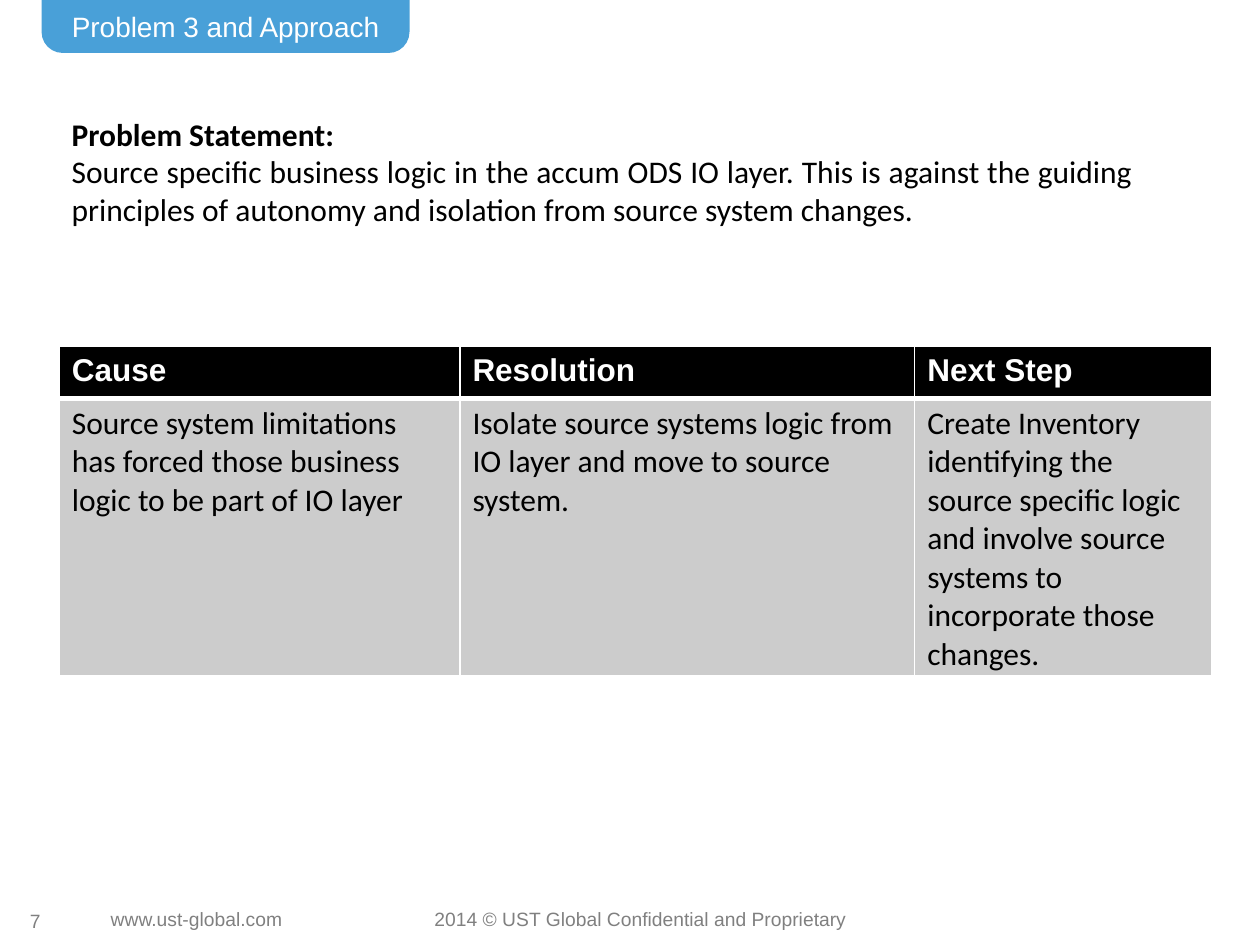
import pptx
import pptx.util
import pptx.dml.color
import pptx.enum.shapes
import pptx.enum.text
import pptx.oxml
import pptx.oxml.ns

ALIGN = pptx.enum.text.PP_ALIGN
ANCHOR = pptx.enum.text.MSO_ANCHOR
THEME = {
    "blue": "49A0D8", "white": "FFFFFF", "black": "000000",
    "grey": "808080", "cell": "CCCCCC",
    "sans": "Arial", "body": "Calibri",
    "small": 11, "title": 16, "large": 18,
}

presentation = pptx.Presentation()
presentation.slide_width = pptx.util.Inches(10)
presentation.slide_height = pptx.util.Inches(7.5)
column = presentation.slide_width / 100
row = presentation.slide_height / 100
slide = presentation.slides.add_slide(presentation.slide_layouts[6])


def color(name):
    return pptx.dml.color.RGBColor.from_string(THEME[name])


def write(frame, texts, font, size, ink, bold=False, align=ALIGN.LEFT):
    for index, text in enumerate(texts):
        paragraph = frame.add_paragraph() if index else frame.paragraphs[0]
        paragraph.text = text
        paragraph.alignment = align
        values = {"name": THEME[font], "size": pptx.util.Pt(THEME[size]), "bold": bold}
        for name, value in values.items():
            setattr(paragraph.font, name, value)
        paragraph.font.color.rgb = color(ink)


tab_area = (3.3, 0, 29.2, 5.6)
left, top, width, height = tab_area
tab = slide.shapes.add_shape(
    pptx.enum.shapes.MSO_SHAPE.ROUND_2_SAME_RECTANGLE,
    round(left * column), round(top * row), round(width * column), round(height * row))
tab.rotation = 180
tab.adjustments[0] = 0.396
tab.adjustments[1] = 0
tab.shadow.inherit = False
tab.fill.solid()
tab.fill.fore_color.rgb = color("blue")
tab.line.fill.background()

footer = ("sans", "small", "grey", False)
statement = [
    "Problem Statement: ",
    "Source specific business logic in the accum ODS IO layer. This is against the guiding "
    "principles of autonomy and isolation from source system changes.",
]
text_boxes = [
    ((7.8, 95.33, 15.8, 3.87), ["www.ust-global.com"], footer, ALIGN.LEFT, {"word_wrap": False}),
    ((33.5, 95.33, 35, 3.87), ["2014 © UST Global Confidential and Proprietary"], footer,
     ALIGN.LEFT, {"word_wrap": False}),
    ((0.9, 96.13, 3.8, 2.67), ["7"], footer, ALIGN.CENTER,
     {"vertical_anchor": ANCHOR.MIDDLE, "margin_left": 0, "margin_right": 0,
      "margin_top": 0, "margin_bottom": 0}),
    (tab_area, ["Problem 3 and Approach"], ("sans", "title", "white", False), ALIGN.CENTER,
     {"vertical_anchor": ANCHOR.MIDDLE}),
    ((4.7, 11.47, 86.2, 13.47), statement, ("body", "large", "black", False),
     ALIGN.JUSTIFY, {}),
]
for (left, top, width, height), texts, style, align, format_values in text_boxes:
    text_box = slide.shapes.add_textbox(
        round(left * column), round(top * row), round(width * column), round(height * row))
    for name, value in {"word_wrap": True, **format_values}.items():
        setattr(text_box.text_frame, name, value)
    write(text_box.text_frame, texts, *style, align)
text_box.text_frame.paragraphs[0].font.bold = True

table_rows = [
    ["Cause", "Resolution", "Next Step"],
    ["Source system limitations has forced those business logic to be part of IO layer",
     "Isolate source systems logic from IO layer and move to source system.",
     "Create Inventory identifying the source specific logic and involve source systems "
     "to incorporate those changes."],
]
column_widths = [31.8, 36.1, 23.6]
row_heights = [5.47, 29.33]
row_styles = [("black", ("sans", "large", "white", True)),
              ("cell", ("body", "large", "black", False))]
border_widths = [{"L": 1, "R": 1, "T": 1, "B": 3}, {"L": 1, "R": 1, "T": 3, "B": 1}]
table = slide.shapes.add_table(
    len(row_heights), len(column_widths), round(4.7 * column), round(36.67 * row),
    round(sum(column_widths) * column), round(sum(row_heights) * row)).table
for table_column, width in zip(table.columns, column_widths):
    table_column.width = round(width * column)
for row_index, texts in enumerate(table_rows):
    table.rows[row_index].height = round(row_heights[row_index] * row)
    fill, style = row_styles[row_index]
    for column_index, text in enumerate(texts):
        cell = table.cell(row_index, column_index)
        write(cell.text_frame, [text], *style)
        properties = cell._tc.get_or_add_tcPr()
        for side, points in border_widths[row_index].items():
            properties.append(pptx.oxml.parse_xml(
                f'<a:ln{side} {pptx.oxml.ns.nsdecls("a")} w="{pptx.util.Pt(points)}">'
                f'<a:solidFill><a:srgbClr val="{THEME["white"]}"/></a:solidFill></a:ln{side}>'))
        cell.fill.solid()
        cell.fill.fore_color.rgb = color(fill)

presentation.save("out.pptx")
